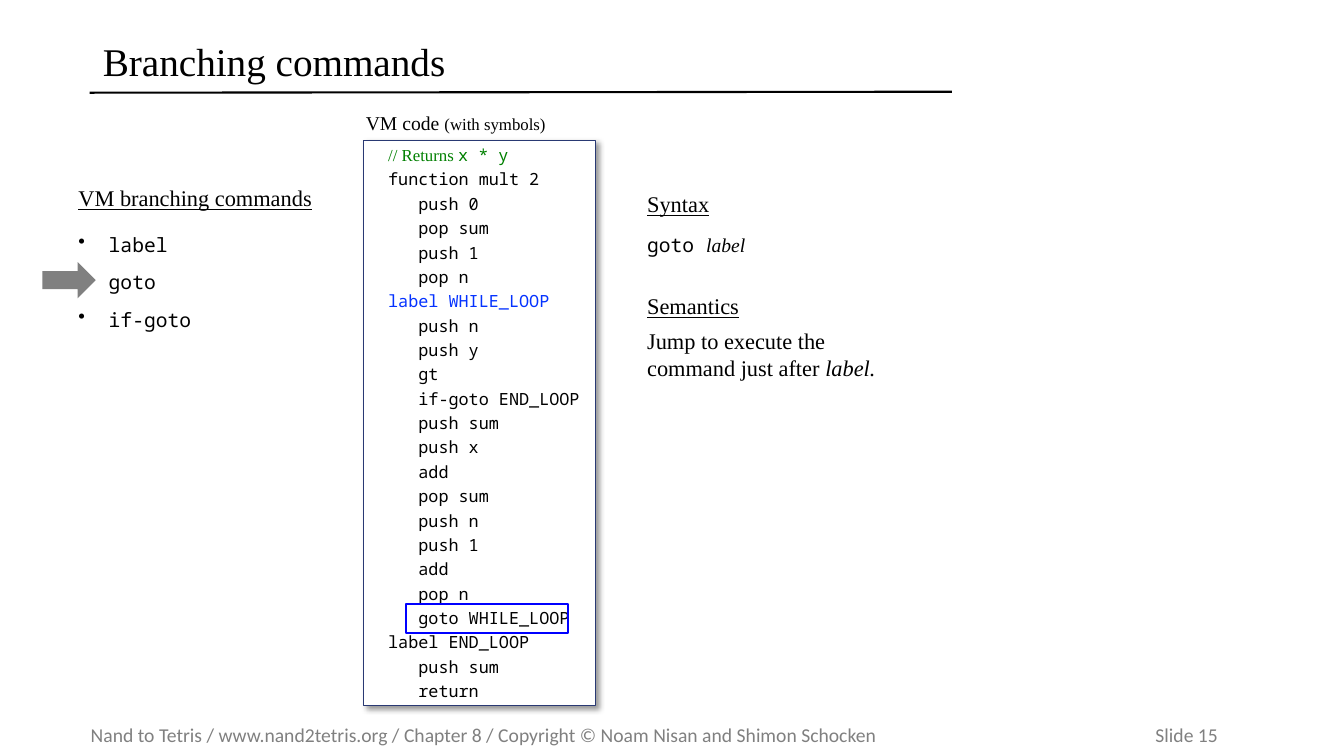
from lxml import etree
from pptx import Presentation
from pptx.dml.color import RGBColor
from pptx.enum.shapes import MSO_CONNECTOR, MSO_SHAPE
from pptx.enum.text import MSO_ANCHOR, MSO_AUTO_SIZE, PP_ALIGN
from pptx.oxml.ns import qn
from pptx.util import Inches, Pt

CELL = Inches(1)
COLUMNS, ROWS = 13.33, 7.5
LEFT = PP_ALIGN.LEFT
MIDDLE = MSO_ANCHOR.MIDDLE
NO_FIT = MSO_AUTO_SIZE.NONE
RECTANGLE, RIGHT_ARROW = MSO_SHAPE.RECTANGLE, MSO_SHAPE.RIGHT_ARROW
STRAIGHT = MSO_CONNECTOR.STRAIGHT
SERIF, MONO, SANS = "Times New Roman", "Noto Sans Mono", "Calibri"
BLACK, GRAY, WHITE = "000000", "808080", "FFFFFF"
BLUE, GREEN, OUTLINE, FRAME = "0432FF", "008000", "293973", "0000FF"
BULLET_INDENT = 0.3
color = RGBColor.from_string


def grid(*cells):
    """Turn grid columns and rows into slide lengths."""
    return [round(cell * CELL) for cell in cells]


def write_text(frame, paragraphs, **frame_format):
    """Fill a frame with (paragraph format, runs); a run is (text, font, size, colour, style)."""
    for name, value in {"word_wrap": True, "auto_size": NO_FIT, **frame_format}.items():
        setattr(frame, name, value)
    for index, (paragraph_format, runs) in enumerate(paragraphs):
        paragraph = frame.add_paragraph() if index else frame.paragraphs[0]
        properties = paragraph._p.get_or_add_pPr()
        for name, value in {"alignment": LEFT, **paragraph_format}.items():
            if name == "bullet":
                properties.set("marL", str(round(BULLET_INDENT * CELL)))
                properties.set("indent", str(-round(BULLET_INDENT * CELL)))
                etree.SubElement(properties, qn("a:buChar"), char=value)
            elif name == "tab":
                tabs = etree.SubElement(properties, qn("a:tabLst"))
                etree.SubElement(tabs, qn("a:tab"), pos=str(round(value * CELL)), algn="l")
            else:
                setattr(paragraph, name, value)
        for text, font, size, hex_color, *styles in runs:
            for part_index, part in enumerate(text.split("\n")):
                if part_index:
                    paragraph.add_line_break()
                run = paragraph.add_run()
                run.text = part
                font_format = {"name": font, "size": Pt(size), **dict.fromkeys(styles, True)}
                for name, value in font_format.items():
                    setattr(run.font, name, value)
                run.font.color.rgb = color(hex_color)


presentation = Presentation()
presentation.slide_width, presentation.slide_height = grid(COLUMNS, ROWS)
slide = presentation.slides.add_slide(presentation.slide_layouts[5])
shapes = slide.shapes

# Title and its rule
title = shapes.title
title.left, title.top, title.width, title.height = grid(0.92, 0.32, 8.53, 0.63)
write_text(title.text_frame,
           [({"line_spacing": 0.9}, [("Branching commands", SERIF, 28, BLACK)])],
           vertical_anchor=MIDDLE)
rule = shapes.add_connector(STRAIGHT, *grid(0.89, 0.92, 9.44, 0.91))
rule.line.color.rgb = color(BLACK)
rule.line.width = Pt(1.5)
etree.SubElement(rule._element.spPr, qn("a:effectLst"))

# Footer
footer = shapes.add_textbox(*grid(0.9, 7.12, 12.25, 0.34))
footer_text = ("Nand to Tetris / www.nand2tetris.org / Chapter 8 / "
               "Copyright © Noam Nisan and Shimon Schocken\tSlide 15")
write_text(footer.text_frame, [({"tab": 10.56}, [(footer_text, SANS, 14, GRAY)])],
           vertical_anchor=MIDDLE, margin_left=0, margin_right=0)

# Command list and explanations
commands = [({"space_after": Pt(9.1)},
             [("VM branching commands", SERIF, 16, BLACK, "underline")])]
for command, gap in (("label", 6), ("goto", 10), ("if-goto", 10)):
    commands.append(({"bullet": "•", "space_before": Pt(gap)}, [(command, MONO, 14, BLACK)]))
semantics = [
    ({}, [("Semantics", SERIF, 16, BLACK, "underline")]),
    ({"space_before": Pt(6)}, [
        ("Jump to execute the \ncommand just after ", SERIF, 16, BLACK),
        ("label.", SERIF, 16, BLACK, "italic")]),
]
text_blocks = [
    ((6.32, 1.84, 3.52, 0.42), [({}, [("Syntax", SERIF, 16, BLACK, "underline")])]),
    ((6.32, 2.26, 3.03, 0.5), [({}, [("goto ", MONO, 14, BLACK),
                                     ("label", SERIF, 14, BLACK, "italic")])]),
    ((6.32, 2.85, 3.62, 1.48), semantics),
    ((0.68, 1.78, 3.09, 2.15), commands),
    ((3.53, 1.05, 3.75, 0.42), [({}, [("VM code ", SERIF, 14, BLACK),
                                      ("(with symbols)", SERIF, 12, BLACK)])]),
]
for cells, paragraphs in text_blocks:
    write_text(shapes.add_textbox(*grid(*cells)).text_frame, paragraphs)

# Arrow, code panel and highlight frame
panels = []
for kind, cells, fill, line, width in (
        (RIGHT_ARROW, (0.42, 2.6, 0.53, 0.36), GRAY, None, 0),
        (RECTANGLE, (3.61, 1.39, 2.3, 5.61), WHITE, OUTLINE, 0.75),
        (RECTANGLE, (4.03, 5.99, 1.6, 0.29), None, FRAME, 1.5)):
    shape = shapes.add_shape(kind, *grid(*cells))
    shape.shadow.inherit = False
    if fill:
        shape.fill.solid()
        shape.fill.fore_color.rgb = color(fill)
    else:
        shape.fill.background()
    if line:
        shape.line.color.rgb = color(line)
        shape.line.width = Pt(width)
    else:
        shape.line.fill.background()
    panels.append(shape)
arrow, code_panel, highlight = panels

effects = code_panel._element.spPr.find(qn("a:effectLst"))
shadow = etree.SubElement(effects, qn("a:outerShdw"), blurRad=str(Pt(4)), dist=str(Pt(3)),
                          dir=str(45 * 60000), algn="tl", rotWithShape="0")
shadow_color = etree.SubElement(shadow, qn("a:srgbClr"), val=BLACK)
etree.SubElement(shadow_color, qn("a:alpha"), val="40000")

code = """function mult 2
   push 0
   pop sum
   push 1
   pop n
label WHILE_LOOP
   push n
   push y
   gt
   if-goto END_LOOP
   push sum
   push x
   add
   pop sum
   push n
   push 1
   add
   pop n
   goto WHILE_LOOP
label END_LOOP
   push sum
   return"""
code_paragraphs = [({}, [("// Returns ", SERIF, 12, GREEN), ("x * y", MONO, 12, GREEN)])]
for code_line in code.splitlines():
    line_color = BLUE if code_line == "label WHILE_LOOP" else BLACK
    code_paragraphs.append(({"space_before": Pt(3)}, [(code_line, MONO, 12, line_color)]))
write_text(code_panel.text_frame, code_paragraphs, vertical_anchor=MIDDLE,
           margin_left=Inches(0.24), margin_right=Inches(0.1),
           margin_top=Inches(0.21), margin_bottom=Inches(0.21))

presentation.save("out.pptx")
